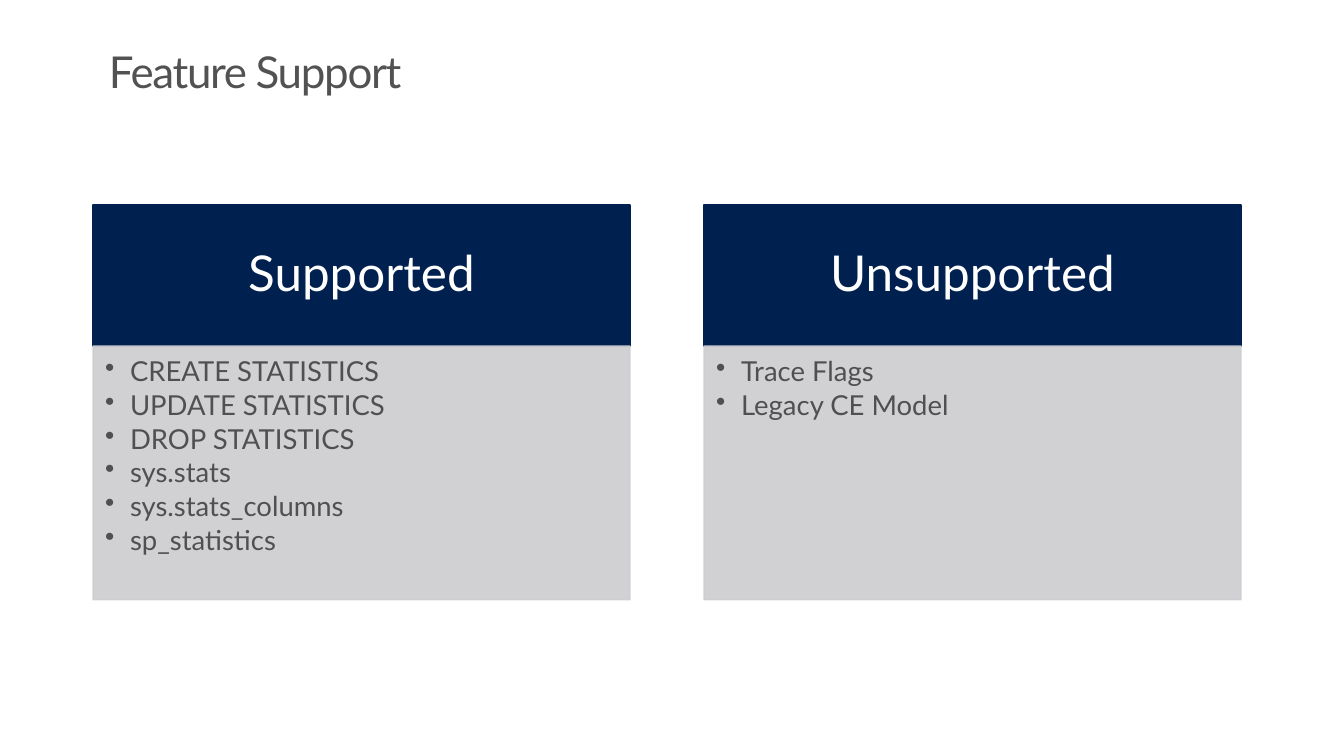
from lxml.etree import SubElement
from pptx import Presentation
from pptx.dml.color import RGBColor
from pptx.enum.shapes import MSO_SHAPE as SHAPE
from pptx.enum.text import MSO_ANCHOR as ANCHOR, PP_ALIGN as ALIGN
from pptx.oxml.ns import qn
from pptx.util import Pt

PX = 9255  # EMU per px, 98.8 px to the inch
NAVY = RGBColor(0x00, 0x20, 0x50)
SILVER = RGBColor(0xCC, 0xCD, 0xD0)
WHITE = RGBColor(0xFF, 0xFF, 0xFF)
TITLE_GREY = RGBColor(0x52, 0x52, 0x52)
TEXT_GREY = RGBColor(0x50, 0x50, 0x50)

LEFT, COLUMN_STEP, COLUMN_WIDTH = 93, 611, 537
HEADER_TOP, HEADER_HEIGHT = 205, 141
BODY_HEIGHT = 254
BULLET_INDENT = 25
FEATURES = {
    "Supported": ["CREATE STATISTICS", "UPDATE STATISTICS", "DROP STATISTICS",
                  "sys.stats", "sys.stats_columns", "sp_statistics"],
    "Unsupported": ["Trace Flags", "Legacy CE Model"],
}


def write_lines(shape, lines, size, color, align, anchor, insets):
    """Fill a shape with one paragraph per line; insets are left, top, right, bottom."""
    frame = shape.text_frame
    frame.word_wrap = True
    frame.vertical_anchor = anchor
    (frame.margin_left, frame.margin_top,
     frame.margin_right, frame.margin_bottom) = [inset * PX for inset in insets]
    for i, line in enumerate(lines):
        paragraph = frame.add_paragraph() if i else frame.paragraphs[0]
        paragraph.alignment = align
        paragraph.line_spacing = 0.9
        run = paragraph.add_run()
        run.text = line
        run.font.name = "Lato"
        run.font.size = Pt(size)
        run.font.color.rgb = color
    return frame.paragraphs


def add_panel(top, left, height, color, opacity):
    panel = slide.shapes.add_shape(
        SHAPE.RECTANGLE, left * PX, top * PX, COLUMN_WIDTH * PX, height * PX)
    panel.shadow.inherit = False
    panel.fill.solid()
    panel.fill.fore_color.rgb = color
    panel.line.color.rgb = color
    panel.line.width = Pt(0.85)
    if opacity < 100:
        for tint in panel.fill._xPr.iter(qn("a:srgbClr")):
            SubElement(tint, qn("a:alpha"), val=str(opacity * 1000))
    return panel


deck = Presentation()
deck.slide_width, deck.slide_height = 1344 * PX, 756 * PX
slide = deck.slides.add_slide(deck.slide_layouts[6])

title = slide.shapes.add_textbox(LEFT * PX, 41 * PX, 1159 * PX, 146 * PX)
heading = write_lines(title, ["Feature Support"], 32, TITLE_GREY,
                      ALIGN.LEFT, ANCHOR.TOP, (16, 10, 16, 10))[0]
heading.runs[0].font._element.set("spc", "-100")

for column, (status, features) in enumerate(FEATURES.items()):
    left = LEFT + column * COLUMN_STEP
    header = add_panel(HEADER_TOP, left, HEADER_HEIGHT, NAVY, 100)
    write_lines(header, [status], 36, WHITE,
                ALIGN.CENTER, ANCHOR.MIDDLE, (28, 16, 28, 16))

    body = add_panel(HEADER_TOP + HEADER_HEIGHT, left, BODY_HEIGHT, SILVER, 90)
    for item in write_lines(body, features, 20, TEXT_GREY,
                            ALIGN.LEFT, ANCHOR.TOP, (12, 12, 16, 17)):
        item.space_after = Pt(3)
        properties = item._p.get_or_add_pPr()
        properties.set("marL", str(BULLET_INDENT * PX))
        properties.set("indent", str(-BULLET_INDENT * PX))
        SubElement(properties, qn("a:buChar"), char="•")

deck.save("out.pptx")
